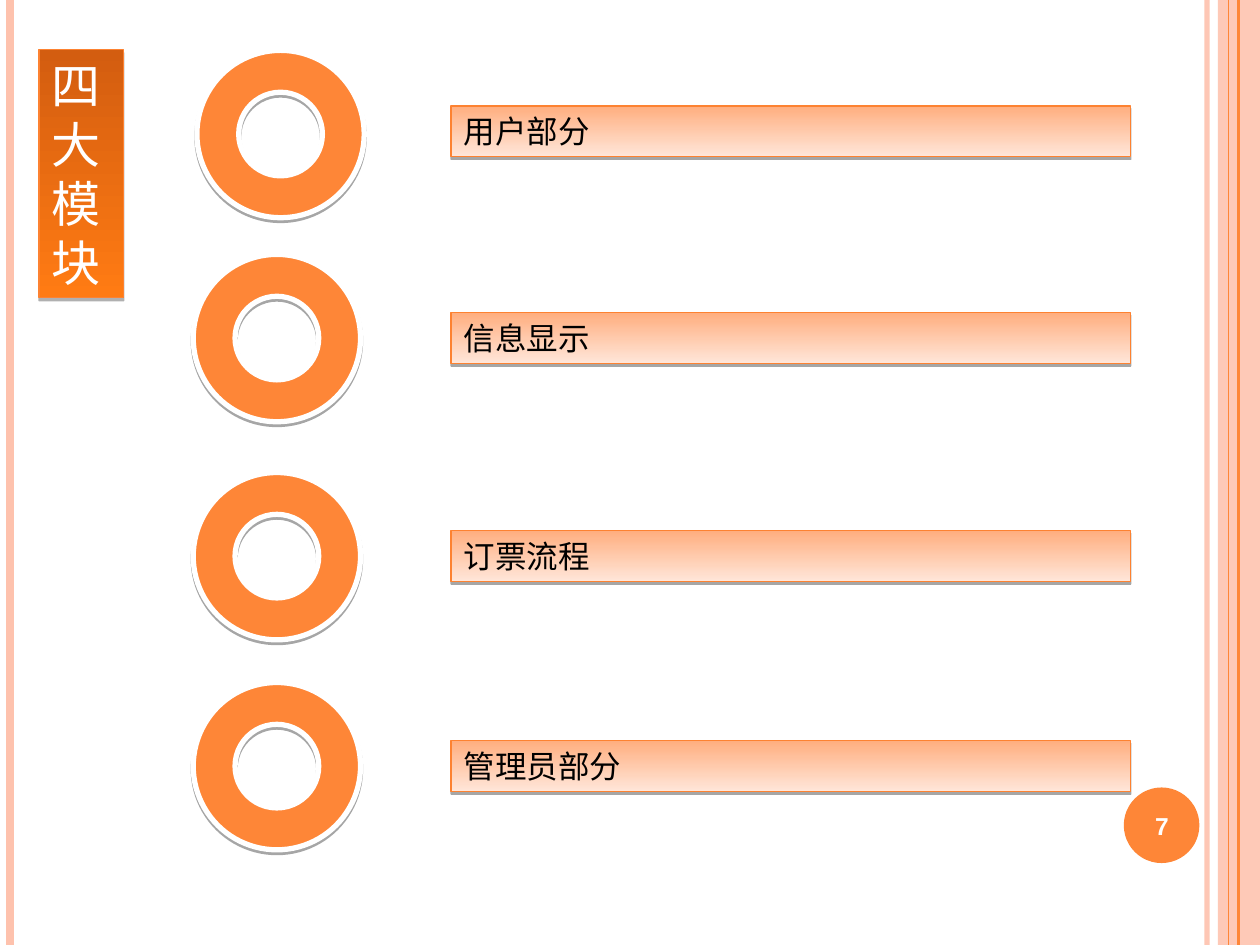
import pptx
import pptx.util
import pptx.dml.color
import pptx.enum.shapes
import pptx.enum.text
import pptx.oxml.ns
from lxml import etree

Pt = pptx.util.Pt
qn = pptx.oxml.ns.qn
SHAPE = pptx.enum.shapes.MSO_SHAPE
ALIGN = pptx.enum.text.PP_ALIGN
ANCHOR = pptx.enum.text.MSO_ANCHOR

COLORS = {
    "orange": "FE8637", "peach": "FEC2AD", "edge": "FD8231",
    "bar_top": "FFAE7F", "bar_bottom": "FFE6D9",
    "title_top": "D35D10", "title_bottom": "FF7B13",
    "white": "FFFFFF", "black": "000000",
}
CJK = "Noto Sans CJK SC"
SLIDE_W, SLIDE_H = 720, 540

# text, font, ring left, ring top, bar top
MODULES = [
    ("用户部分", CJK, 112.5, 28.8, 60.5),
    ("信息显示", CJK, 110.4, 145.4, 178.6),
    ("订票流程", "Arial", 110.4, 270, 303.2),
    ("管理员部分", "Arial", 110.4, 390, 423.2),
]
# x, colour, width, opacity in percent
RULES = [
    (689.8, "peach", 3, 89),
    (5.8, "peach", 4.5, 100),
    (707.8, "orange", 1.5, 100),
    (702, "orange", 0.75, 100),
]


def rgb(name):
    return pptx.dml.color.RGBColor.from_string(COLORS[name])


def set_alpha(element, percent):
    for clr in element.iter(qn("a:srgbClr")):
        etree.SubElement(clr, qn("a:alpha"), val=str(percent * 1000))


def add_rule(s, x, color, width, opacity):
    line = s.shapes.add_connector(
        pptx.enum.shapes.MSO_CONNECTOR.STRAIGHT, Pt(x), 0, Pt(x), Pt(SLIDE_H))
    line.line.color.rgb = rgb(color)
    line.line.width = Pt(width)
    spPr = line._element.spPr
    if opacity < 100:
        set_alpha(spPr, opacity)
    etree.SubElement(spPr, qn("a:effectLst"))


def add_flat(s, kind, left, top, width, height, color):
    sp = s.shapes.add_shape(kind, Pt(left), Pt(top), Pt(width), Pt(height))
    sp.fill.solid()
    sp.fill.fore_color.rgb = rgb(color)
    sp.line.fill.background()
    sp.shadow.inherit = False
    return sp


def add_shadow(sp, distance, opacity):
    sp.shadow.inherit = False
    effects = sp._element.spPr.find(qn("a:effectLst"))
    shadow = etree.SubElement(
        effects, qn("a:outerShdw"), blurRad="0", dist=str(Pt(distance)),
        dir="5400000", algn="t", rotWithShape="0")
    etree.SubElement(shadow, qn("a:srgbClr"), val=COLORS["black"])
    set_alpha(shadow, opacity)


def style_panel(sp, top_color, bottom_color, distance, opacity):
    sp.fill.gradient()
    sp.fill.gradient_angle = 270
    for stop, color in zip(sp.fill.gradient_stops, (top_color, bottom_color)):
        stop.color.rgb = rgb(color)
    sp.line.color.rgb = rgb(color_name := "edge")
    sp.line.width = Pt(0.75)
    add_shadow(sp, distance, opacity)


def write(sp, text, size, font, color, align=ALIGN.LEFT, anchor=ANCHOR.TOP,
          bold=False):
    tf = sp.text_frame
    tf.word_wrap = True
    tf.auto_size = pptx.enum.text.MSO_AUTO_SIZE.NONE
    tf.vertical_anchor = anchor
    tf.margin_left = tf.margin_right = Pt(7.2)
    tf.margin_top = tf.margin_bottom = Pt(3.6)
    p = tf.paragraphs[0]
    p.alignment = align
    p.line_spacing = Pt(size * 1.2)
    r = p.add_run()
    r.text = text
    r.font.size = Pt(size)
    r.font.bold = bold
    r.font.name = font
    r.font.color.rgb = rgb(color)
    etree.SubElement(r._r.get_or_add_rPr(), qn("a:ea"), typeface=font)


def add_ring(s, left, top):
    ring = add_flat(s, SHAPE.DONUT, left, top, 95.6, 95.6, "orange")
    ring.adjustments[0] = 0.25
    ring.line.color.rgb = rgb("white")
    ring.line.width = Pt(3)
    add_shadow(ring, 1.6, 34)


def add_bar(s, top, text, font):
    bar = s.shapes.add_shape(
        SHAPE.RECTANGLE, Pt(257.8), Pt(top), Pt(388.4), Pt(29))
    style_panel(bar, "bar_top", "bar_bottom", 1.6, 34)
    write(bar, text, 18, font, "black")


def format_title(s):
    title = s.shapes.title
    title.left, title.top = Pt(22.3), Pt(28.3)
    title.width, title.height = Pt(48.4), Pt(141.8)
    style_panel(title, "title_top", "title_bottom", 1.8, 31)
    write(title, "四大模块", 28, CJK, "white")


def add_page_number(s):
    add_flat(s, SHAPE.OVAL, 642.2, 450, 43.2, 43.2, "orange")
    box = s.shapes.add_textbox(Pt(640), Pt(451.4), Pt(48), Pt(41))
    write(box, "7", 14, "Arial", "white", ALIGN.CENTER, ANCHOR.MIDDLE, True)


def main():
    prs = pptx.Presentation()
    prs.slide_width, prs.slide_height = Pt(SLIDE_W), Pt(SLIDE_H)
    s = prs.slides.add_slide(prs.slide_layouts[5])

    # Edge decoration
    band = add_flat(s, SHAPE.RECTANGLE, 696, 0, 24, SLIDE_H, "peach")
    set_alpha(band._element.spPr, 87)
    for rule in RULES:
        add_rule(s, *rule)
    add_page_number(s)

    # Title and the four modules
    format_title(s)
    for text, font, ring_left, ring_top, bar_top in MODULES:
        add_ring(s, ring_left, ring_top)
        add_bar(s, bar_top, text, font)

    prs.save("out.pptx")


if __name__ == "__main__":
    main()
